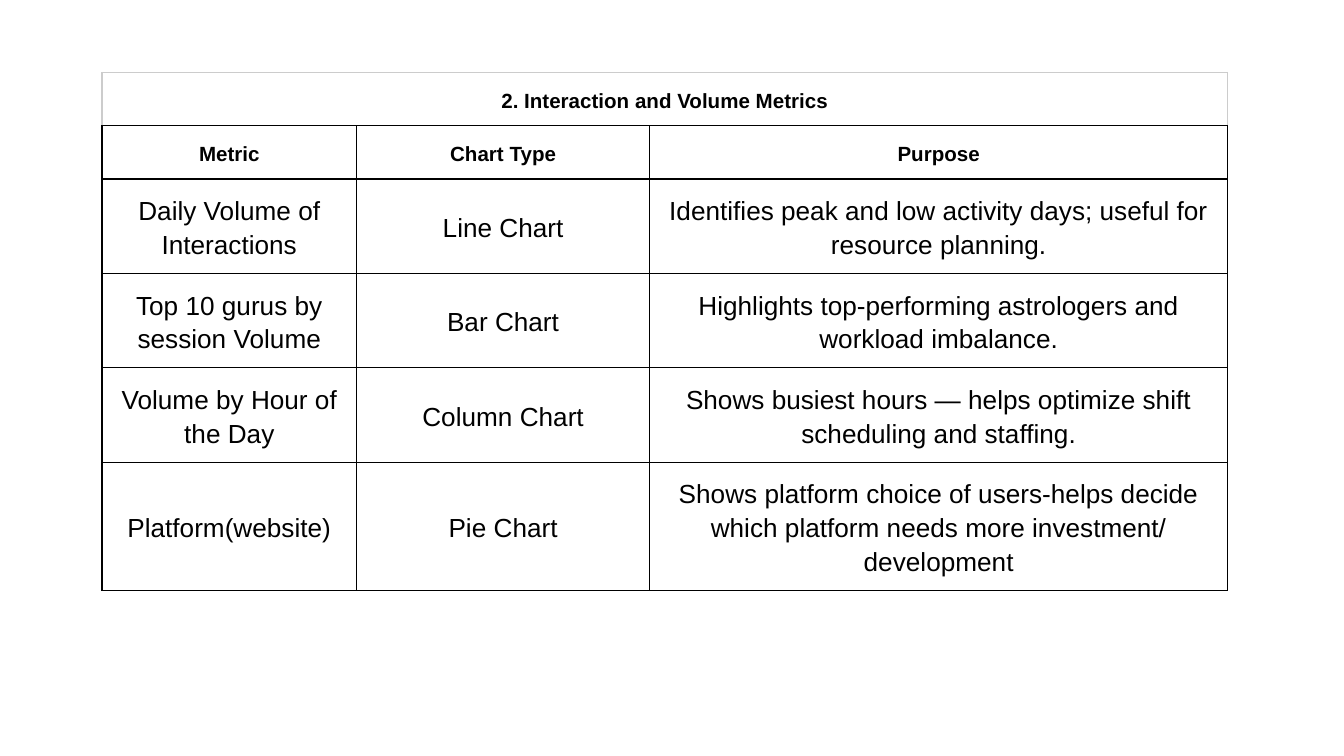
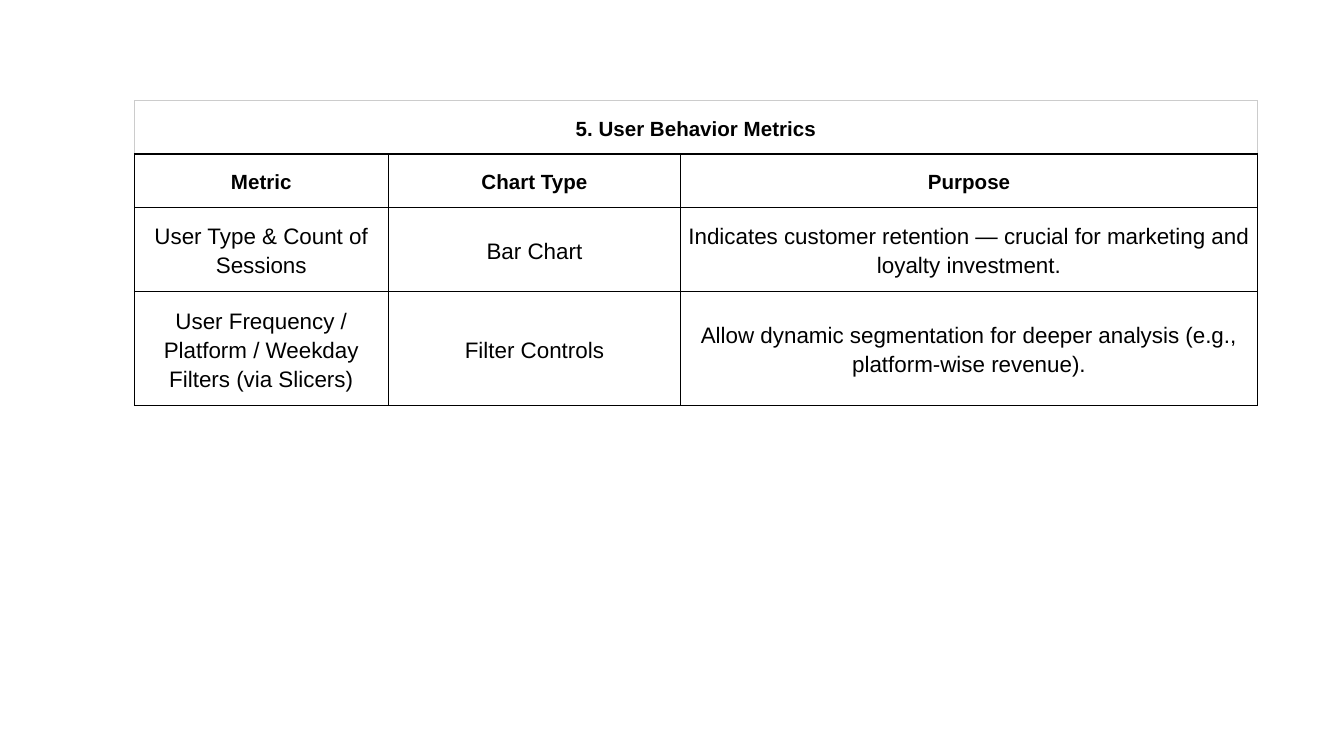
from lxml import etree
from pptx import Presentation
from pptx.dml.color import RGBColor
from pptx.enum.text import MSO_ANCHOR, PP_ALIGN
from pptx.oxml.ns import qn
from pptx.util import Pt

MIDDLE = MSO_ANCHOR.MIDDLE
CENTER = PP_ALIGN.CENTER

COLORS = {"ink": "000000", "rule": "CCCCCC"}
FONT = "Arial"
HEAD_SIZE = 11
HEADS = ("Metric", "Chart Type", "Purpose")

TABLES = [
    {
        "title": "2. Interaction and Volume Metrics",
        "left": 54.72, "top": 38.88, "size": 14, "line": 0.83,
        "cols": (136.3, 157.1, 309.6),
        "heights": (24.5, 24.5, 44, 44, 44, 60),
        "rows": [
            ("Daily Volume of Interactions", "Line Chart",
             "Identifies peak and low activity days; useful for resource planning."),
            ("Top 10 gurus by session Volume", "Bar Chart",
             "Highlights top-performing astrologers and workload imbalance."),
            ("Volume by Hour of the Day", "Column Chart",
             "Shows busiest hours — helps optimize shift scheduling and staffing."),
            ("Platform(website)", "Pie Chart",
             "Shows platform choice of users-helps decide which platform needs more investment/ development"),
        ],
    },
    {
        "title": "5. User Behavior Metrics",
        "left": 72, "top": 54, "size": 12, "line": 0.75,
        "cols": (136, 156.7, 309),
        "heights": (15, 15, 28, 28),
        "rows": [
            ("User Type & Count of Sessions", "Bar Chart",
             "Indicates customer retention — crucial for marketing and loyalty investment."),
            ("User Frequency / Platform / Weekday Filters (via Slicers)", "Filter Controls",
             "Allow dynamic segmentation for deeper analysis (e.g., platform-wise revenue)."),
        ],
    },
]


def border(cell, side, color, width):
    props = cell._tc.get_or_add_tcPr()
    line = etree.SubElement(props, qn("a:ln" + side), w=str(Pt(width)))
    fill = etree.SubElement(line, qn("a:solidFill"))
    etree.SubElement(fill, qn("a:srgbClr"), val=COLORS[color])


def style(cell, size, bold):
    cell.fill.background()
    cell.vertical_anchor = MIDDLE
    cell.margin_left = cell.margin_right = Pt(2.16)
    cell.margin_top = cell.margin_bottom = Pt(7.2)
    para = cell.text_frame.paragraphs[0]
    para.alignment = CENTER
    para.line_spacing = 1.15
    for item in [para, *para.runs]:
        item.font.name = FONT
        item.font.size = Pt(size)
        item.font.bold = bold
        item.font.color.rgb = RGBColor.from_string(COLORS["ink"])


prs = Presentation()
prs.slide_width = Pt(720)
prs.slide_height = Pt(405)

for data in TABLES:
    slide = prs.slides.add_slide(prs.slide_layouts[6])
    rows = [(data["title"], "", ""), HEADS, *data["rows"]]
    frame = slide.shapes.add_table(
        len(rows), len(HEADS), Pt(data["left"]), Pt(data["top"]),
        Pt(sum(data["cols"])), Pt(sum(data["heights"])))
    table = frame.table
    table.first_row = False
    table.horz_banding = False

    for col, width in zip(table.columns, data["cols"]):
        col.width = Pt(width)
    for row, height in zip(table.rows, data["heights"]):
        row.height = Pt(height)

    table.cell(0, 0).merge(table.cell(0, len(HEADS) - 1))
    for r, texts in enumerate(rows):
        for c, text in enumerate(texts):
            cell = table.cell(r, c)
            if text:
                cell.text_frame.text = text
            for side in "LRTB":
                color = "rule" if r == 0 and side != "B" else "ink"
                border(cell, side, color, data["line"])
            head = r < 2
            style(cell, HEAD_SIZE if head else data["size"], head)

prs.save("out.pptx")
